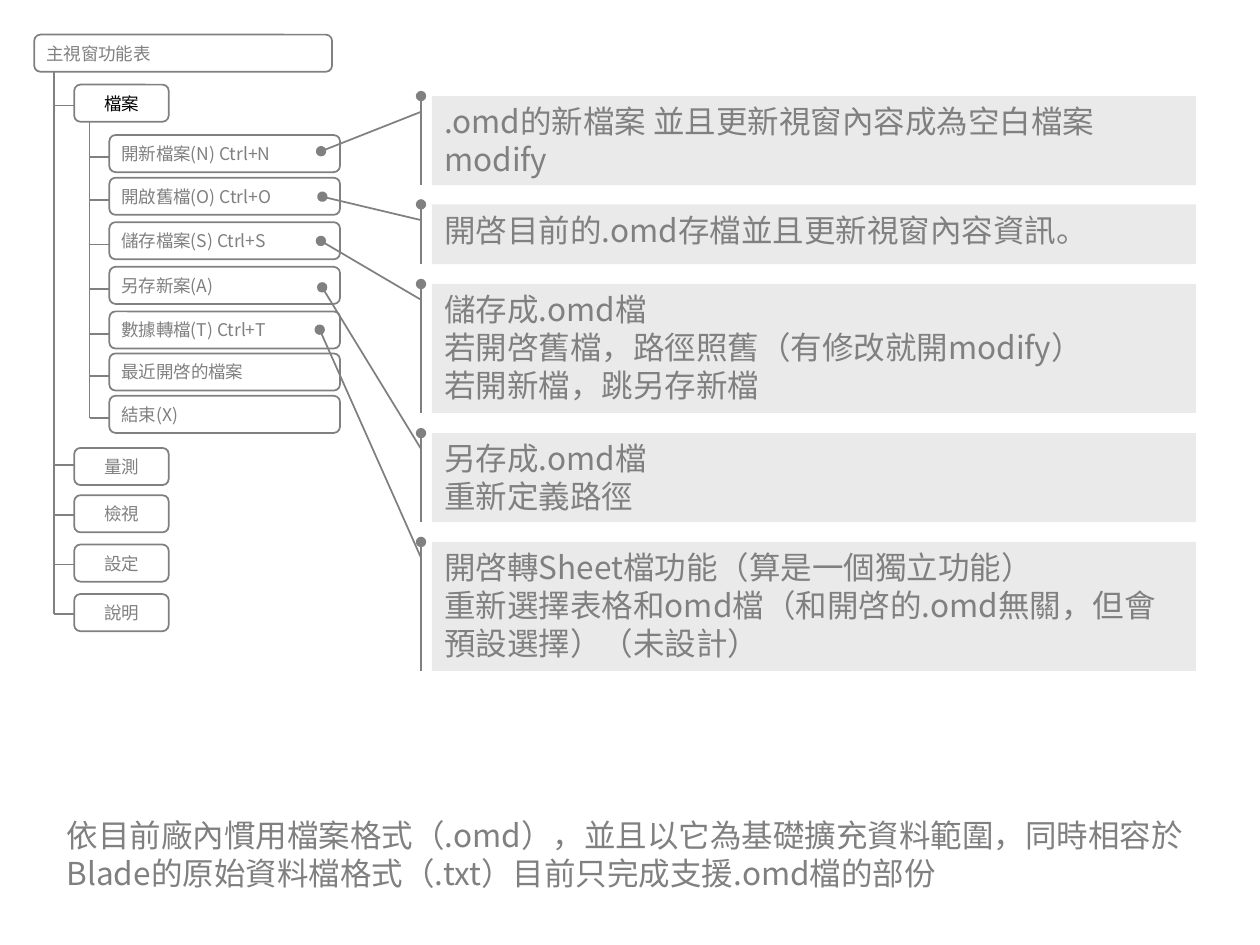
from dataclasses import dataclass

from lxml import etree
from pptx import Presentation
from pptx.dml.color import RGBColor
from pptx.enum import shapes, text
from pptx.oxml.ns import qn
from pptx.util import Pt


@dataclass(frozen=True)
class Theme:
    gray: RGBColor = RGBColor(0x80, 0x80, 0x80)
    black: RGBColor = RGBColor(0, 0, 0)
    white: RGBColor = RGBColor(0xFF, 0xFF, 0xFF)
    panel: RGBColor = RGBColor(0xEA, 0xEA, 0xEA)
    font: str = "Noto Sans CJK SC"
    menu_size: float = 10
    note_size: float = 18


theme = Theme()
deck = Presentation()
deck.slide_width, deck.slide_height = Pt(720), Pt(540)
page = deck.slides.add_slide(deck.slide_layouts[6])


def draw_line(x1, y1, x2, y2, dot=False):
    """Draw a gray line, with a round dot at its start if asked."""
    line = page.shapes.add_connector(
        shapes.MSO_CONNECTOR.STRAIGHT, Pt(x1), Pt(y1), Pt(x2), Pt(y2))
    line.line.color.rgb = theme.gray
    line.line.width = Pt(1)
    properties = line._element.spPr
    if dot:
        etree.SubElement(properties.find(qn("a:ln")), qn("a:headEnd"), type="oval")
    etree.SubElement(properties, qn("a:effectLst"))


def write(box, lines, size, color=theme.gray, align=text.PP_ALIGN.LEFT,
          anchor=text.MSO_ANCHOR.TOP, inset=(7.2, 3.6)):
    frame = box.text_frame
    frame.word_wrap = True
    frame.vertical_anchor = anchor
    frame.margin_left = frame.margin_right = Pt(inset[0])
    frame.margin_top = frame.margin_bottom = Pt(inset[1])
    frame.text = "\n".join(lines)
    for para in frame.paragraphs:
        para.alignment = align
        para.font.size = Pt(size)
        para.font.color.rgb = color
        para.font.name = theme.font
        # East Asian glyphs take their own typeface
        defaults = para._p.pPr.find(qn("a:defRPr"))
        etree.SubElement(defaults, qn("a:ea"), typeface=theme.font)


# Menu tree: trunks first, then branches, then boxes on top
menu_trunk, file_trunk = 31, 51.2
draw_line(menu_trunk, 32, menu_trunk, 351)
draw_line(file_trunk, 65, file_trunk, 239)

left, center = text.PP_ALIGN.LEFT, text.PP_ALIGN.CENTER
# label, top, branch height
file_items = [
    ("開新檔案(N) Ctrl+N", 77.2, 89.8),
    ("開啟舊檔(O) Ctrl+O", 101.6, 114.3),
    ("儲存檔案(S) Ctrl+S", 127, 139.7),
    ("另存新案(A)", 152.5, 165.3),
    ("數據轉檔(T) Ctrl+T", 178, 190.8),
    ("最近開啓的檔案", 202, 214.7),
    ("結束(X)", 226.2, 239),
]
menus = [
    ("檔案", 48.4, 60.3),
    ("量測", 256, 265.8),
    ("檢視", 283, 294.3),
    ("設定", 311.2, 322.6),
    ("說明", 339.5, 351),
]
boxes = [("主視窗功能表", 19.6, 22, menu_trunk, menu_trunk, 170.2, left)]
boxes = [("主視窗功能表", 19.8, 22, None, 19.6, 170.2, left)]
boxes += [(*item, file_trunk, 62.5, 131.8, left) for item in file_items]
boxes += [(*menu, menu_trunk, 42.4, 54, center) for menu in menus]

for label, top, branch, trunk, x, width, align in boxes:
    if trunk:
        draw_line(trunk, branch, x, branch)
    box = page.shapes.add_shape(
        shapes.MSO_SHAPE.ROUNDED_RECTANGLE, Pt(x), Pt(top), Pt(width), Pt(21.2))
    box.shadow.inherit = False
    box.fill.solid()
    box.fill.fore_color.rgb = theme.white
    box.line.color.rgb = theme.gray
    box.line.width = Pt(1)
    write(box, [label], theme.menu_size,
          theme.black if label == "檔案" else theme.gray,
          align, text.MSO_ANCHOR.MIDDLE, (5.8, 2.9))

# Callouts: top, height, dot on the menu item, lines
callouts = [
    (54.9, 50.9, (183.5, 86.4),
     [".omd的新檔案 並且更新視窗內容成為空白檔案", "modify"]),
    (116.8, 34.1, (184.2, 112.4), ["開啓目前的.omd存檔並且更新視窗內容資訊。"]),
    (162.3, 73.7, (183.4, 137.7),
     ["儲存成.omd檔", "若開啓舊檔，路徑照舊（有修改就開modify）", "若開新檔，跳另存新檔"]),
    (247.5, 50.9, (184.1, 164.2), ["另存成.omd檔", "重新定義路徑"]),
    (309.7, 73.7, (182.7, 188.4),
     ["開啓轉Sheet檔功能（算是一個獨立功能）",
      "重新選擇表格和omd檔（和開啓的.omd無關，但會預設選擇）（未設計）"]),
]
bar = 240.6
for top, height, dot, lines in callouts:
    panel = page.shapes.add_shape(
        shapes.MSO_SHAPE.RECTANGLE, Pt(246.8), Pt(top), Pt(436.6), Pt(height))
    panel.shadow.inherit = False
    panel.fill.solid()
    panel.fill.fore_color.rgb = theme.panel
    panel.line.fill.background()
    write(panel, lines, theme.note_size)
    draw_line(*dot, bar, top + 9, dot=True)
    draw_line(bar, top, bar, top + height, dot=True)

summary = page.shapes.add_textbox(Pt(31), Pt(463), Pt(676), Pt(50.4))
write(summary, ["依目前廠內慣用檔案格式（.omd），並且以它為基礎擴充資料範圍，"
                "同時相容於Blade的原始資料檔格式（.txt）目前只完成支援.omd檔的部份"],
      theme.note_size)

deck.save("out.pptx")
